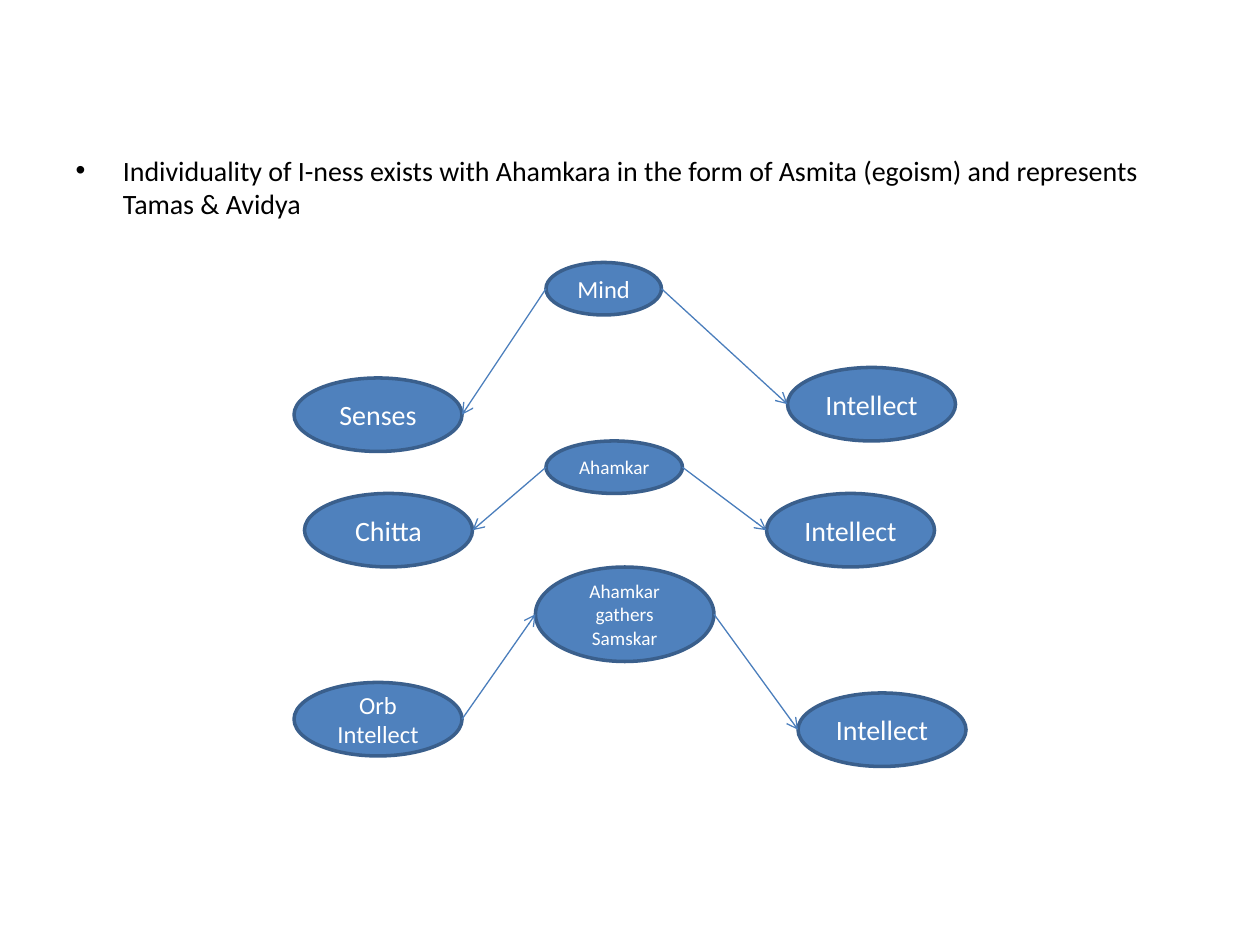
from dataclasses import dataclass

from lxml.etree import SubElement
from pptx import Presentation
from pptx.dml.color import RGBColor
from pptx.enum.shapes import MSO_CONNECTOR, MSO_SHAPE
from pptx.enum.text import MSO_ANCHOR, MSO_AUTO_SIZE, PP_ALIGN
from pptx.oxml.ns import qn
from pptx.util import Inches, Pt


@dataclass(frozen=True)
class Theme:
    font: str = "Calibri"
    ink: str = "000000"
    label: str = "FFFFFF"
    fill: str = "4F81BD"
    outline: str = "3A5F8C"
    arrow: str = "4B7EBC"
    large: int = 16
    medium: int = 14
    small: int = 11


THEME = Theme()
COLUMNS, ROWS = 120, 90
CELL = Inches(10) // COLUMNS
SIDE_SIZE = (16, 7)


def write(frame, text, size, color, align=None):
    for index, line in enumerate(text.split("\n")):
        paragraph = frame.paragraphs[0] if index == 0 else frame.add_paragraph()
        paragraph.alignment = align
        run = paragraph.add_run()
        run.text = line
        run.font.name = THEME.font
        run.font.size = Pt(size)
        run.font.color.rgb = RGBColor.from_string(color)


def add_statement(slide, box, text):
    body = slide.placeholders[1]
    body.left, body.top, body.width, body.height = (n * CELL for n in box)
    body.text_frame.auto_size = MSO_AUTO_SIZE.NONE
    write(body.text_frame, text, THEME.large, THEME.ink)


def add_concept(slide, box, text, size):
    concept = slide.shapes.add_shape(MSO_SHAPE.OVAL, *(n * CELL for n in box))
    concept.shadow.inherit = False
    concept.fill.solid()
    concept.fill.fore_color.rgb = RGBColor.from_string(THEME.fill)
    concept.line.color.rgb = RGBColor.from_string(THEME.outline)
    concept.line.width = Pt(2)
    frame = concept.text_frame
    frame.word_wrap = True
    frame.vertical_anchor = MSO_ANCHOR.MIDDLE
    frame.margin_left = frame.margin_right = Inches(0.05)
    frame.margin_top = frame.margin_bottom = Inches(0.03)
    write(frame, text, size, THEME.label, align=PP_ALIGN.CENTER)
    return concept


def left_end(concept):
    return concept.left, concept.top + concept.height // 2


def right_end(concept):
    return concept.left + concept.width, concept.top + concept.height // 2


def add_arrow(slide, start, end):
    arrow = slide.shapes.add_connector(MSO_CONNECTOR.STRAIGHT, *start, *end)
    arrow.line.color.rgb = RGBColor.from_string(THEME.arrow)
    arrow.line.width = Pt(0.75)
    SubElement(arrow.line._get_or_add_ln(), qn("a:tailEnd"), type="arrow")
    SubElement(arrow._element.spPr, qn("a:effectLst"))


def add_triad(slide, box, hub, left, right, left_feeds_hub=False):
    x, y, width, _ = box
    hub_text, hub_size, (dx, hub_width, hub_height) = hub
    left_text, left_size, left_drop = left
    right_text, right_size, right_drop = right
    side_width = SIDE_SIZE[0]
    source = add_concept(slide, (x, y + left_drop, *SIDE_SIZE), left_text, left_size)
    target = add_concept(slide, (x + width - side_width, y + right_drop, *SIDE_SIZE),
                         right_text, right_size)
    center = add_concept(slide, (x + dx, y, hub_width, hub_height), hub_text, hub_size)
    ends = left_end(center), right_end(source)
    add_arrow(slide, *(reversed(ends) if left_feeds_hub else ends))
    add_arrow(slide, right_end(center), left_end(target))


def build():
    deck = Presentation()
    deck.slide_width, deck.slide_height = COLUMNS * CELL, ROWS * CELL
    slide = deck.slides.add_slide(deck.slide_layouts[1])
    title = slide.shapes.title._element
    title.getparent().remove(title)

    add_statement(slide, (6, 14, 108, 12),
                  "Individuality of I-ness exists with Ahamkara in the form of "
                  "Asmita (egoism) and represents Tamas & Avidya")
    add_triad(slide, (28, 25, 63, 18),
              hub=("Mind", THEME.medium, (24, 11, 5)),
              left=("Senses", THEME.large, 11),
              right=("Intellect", THEME.large, 10))
    add_triad(slide, (29, 42, 60, 12),
              hub=("Ahamkar", THEME.small, (23, 13, 5)),
              left=("Chitta", THEME.large, 5),
              right=("Intellect", THEME.large, 5))
    add_triad(slide, (28, 54, 64, 19),
              hub=("Ahamkar gathers\nSamskar", THEME.small, (23, 17, 9)),
              left=("Orb Intellect", THEME.medium, 11),
              right=("Intellect", THEME.large, 12),
              left_feeds_hub=True)
    deck.save("out.pptx")


build()
